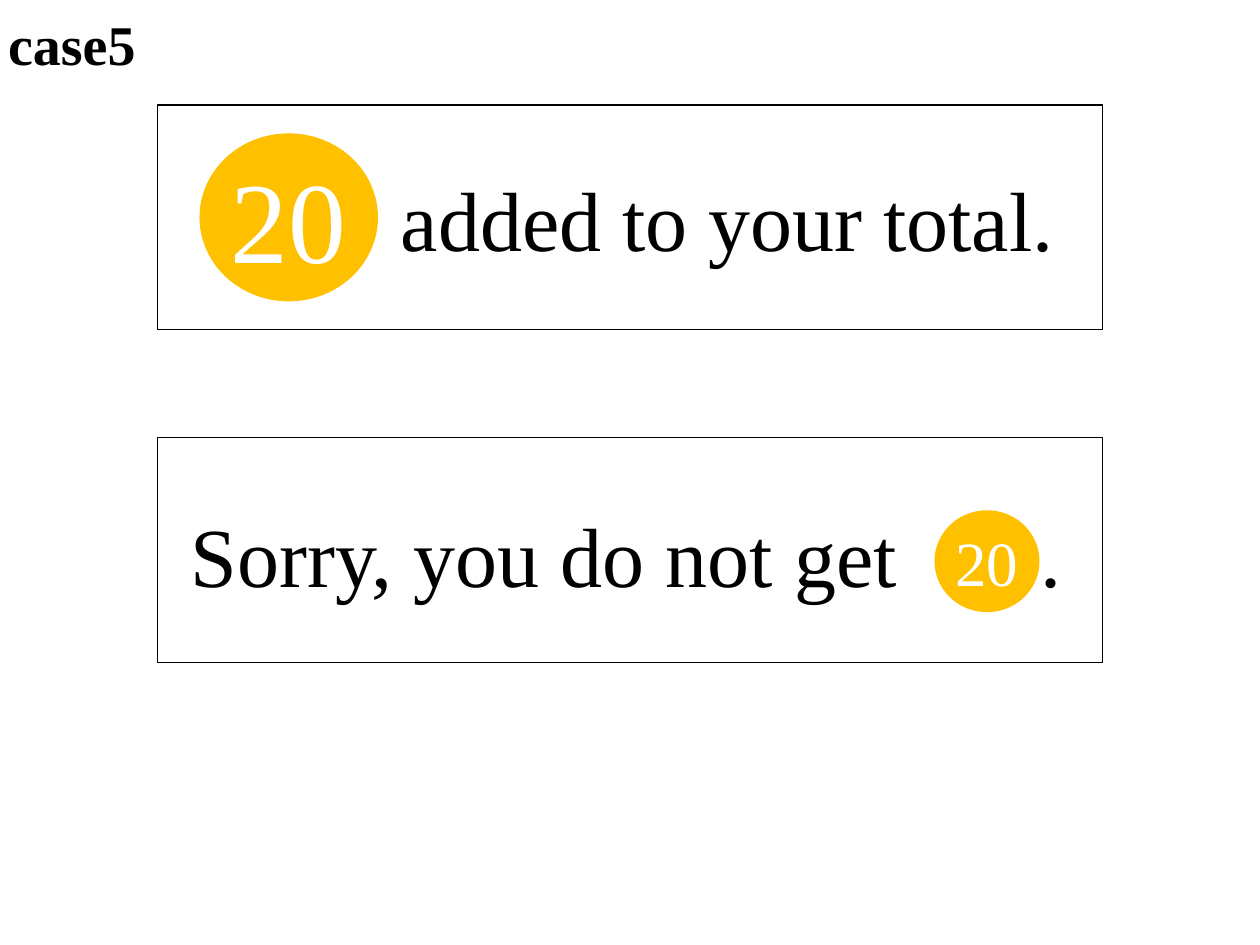
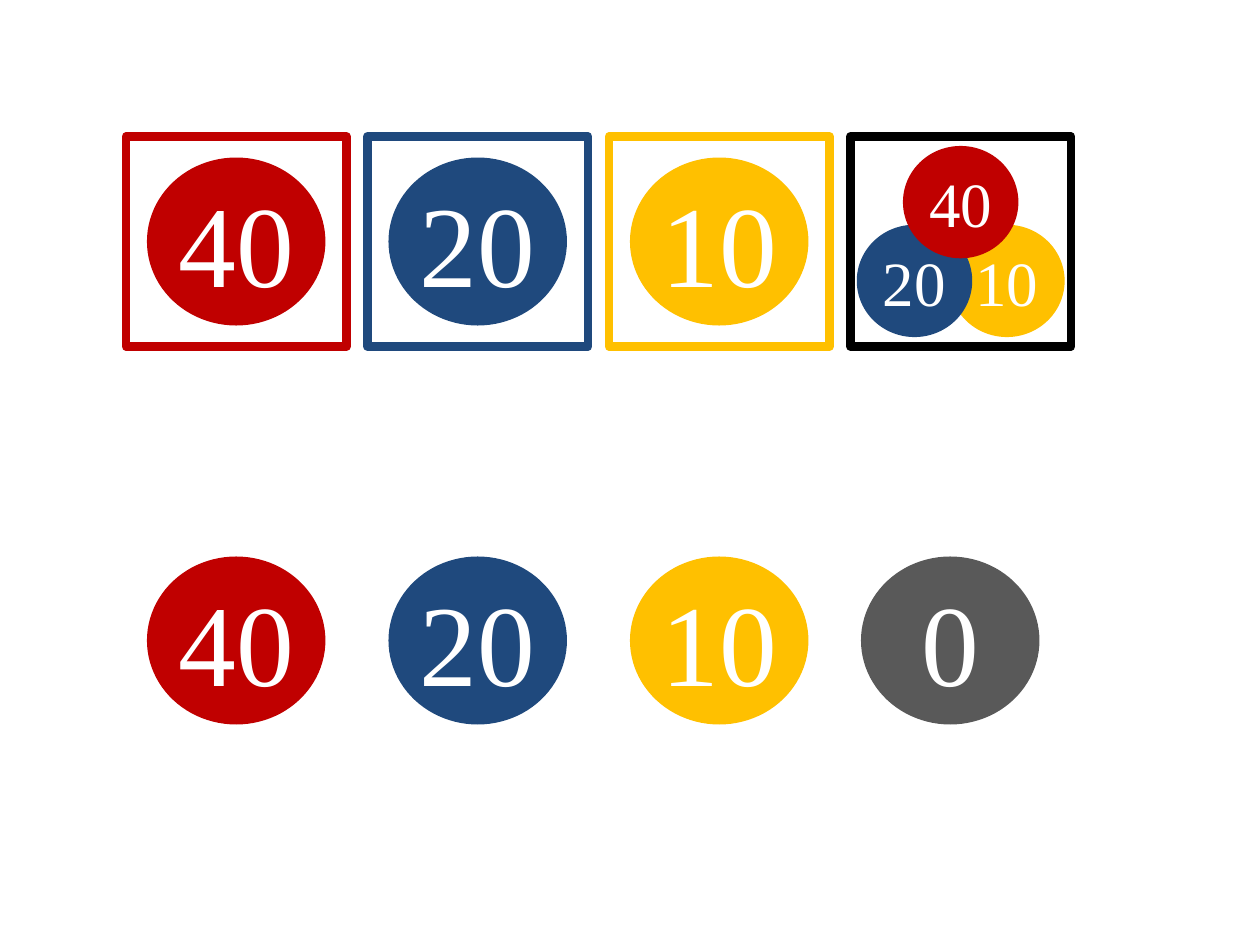
from dataclasses import dataclass

from lxml.etree import SubElement as Sub
from pptx import Presentation
from pptx.dml.color import RGBColor as Rgb
from pptx.enum.shapes import MSO_SHAPE as Kind
from pptx.enum.text import MSO_ANCHOR as Anchor, PP_ALIGN as Align
from pptx.oxml.ns import qn
from pptx.util import Inches, Pt


@dataclass(frozen=True)
class Theme:
    font: str = "Times New Roman"
    black: str = "000000"
    white: str = "FFFFFF"
    red: str = "C00000"
    blue: str = "1F497D"
    gold: str = "FFC000"
    gray: str = "595959"
    title: int = 32
    body: int = 48
    big: int = 66
    small: int = 36
    thin: float = 0.75
    thick: float = 5


T = Theme()

# Grid: 120 columns by 90 rows on a 10 by 7.5 inch slide
WIDE, HIGH = Inches(10), Inches(7.5)
COLS, ROWS = 120, 90
CARD = (90, 21.4)
FRAME = (21, 20)
COIN = (17, 16)
CHIP = (11, 10.7)
STEP = 23


def place(at, size):
    """Turn grid cells into left, top, width and height."""
    (x, y), (w, h) = at, size
    return [round(v) for v in (x * WIDE / COLS, y * HIGH / ROWS,
                               w * WIDE / COLS, h * HIGH / ROWS)]


def add_run(par, text, size, color, bold=False):
    run = par.add_run()
    run.text = text
    font = run.font
    font.name, font.size, font.bold = T.font, Pt(size), bold
    font.color.rgb = Rgb.from_string(color)


def add_text(shapes, at, size, parts, points, bold=False, tab=None):
    """Add one line of text; a tab stop (in columns) parts its runs."""
    frame = shapes.add_textbox(*place(at, size)).text_frame
    frame.word_wrap = True
    frame.vertical_anchor = Anchor.MIDDLE
    par = frame.paragraphs[0]
    par.line_spacing = 0.9
    if tab:
        stops = Sub(par._p.get_or_add_pPr(), qn("a:tabLst"))
        Sub(stops, qn("a:tab"), pos=str(round(tab * WIDE / COLS)), algn="l")
    for part in parts:
        add_run(par, part, points, T.black, bold)


def add_frame(shapes, at, size, color, width):
    box = shapes.add_shape(Kind.RECTANGLE, *place(at, size))
    box.shadow.inherit = False
    box.fill.background()
    box.line.color.rgb = Rgb.from_string(color)
    box.line.width = Pt(width)


def add_coin(shapes, at, text, color, size=COIN, points=T.big):
    coin = shapes.add_shape(Kind.OVAL, *place(at, size))
    coin.shadow.inherit = False
    coin.fill.solid()
    coin.fill.fore_color.rgb = Rgb.from_string(color)
    coin.line.fill.background()
    frame = coin.text_frame
    frame.margin_left = frame.margin_right = Inches(0.04)
    frame.margin_top = frame.margin_bottom = Inches(0.04)
    frame.word_wrap = True
    frame.vertical_anchor = Anchor.MIDDLE
    par = frame.paragraphs[0]
    par.alignment = Align.CENTER
    add_run(par, text, points, T.white)


def add_cards(slide):
    """Two message cards, each with a coin in its sentence."""
    gain = slide.shapes.add_group_shape().shapes
    add_text(gain, (37, 10.7), (72, 21.4), ["added to your total."], T.body)
    add_frame(gain, (15, 10), CARD, T.black, T.thin)
    add_coin(gain, (19, 12.7), "20", T.gold)

    loss = slide.shapes.add_group_shape().shapes
    add_text(loss, (17, 42.7), CARD, ["Sorry, you do not get", "\t", "."],
             T.body, tab=80.9)
    add_frame(loss, (15, 41.7), CARD, T.black, T.thin)
    add_coin(loss, (89, 48.6), "20", T.gold, (10, 9.7), T.small)

    add_text(slide.shapes, (-0.4, 0), (23, 9), ["case5"], T.title, bold=True)


def add_board(slide):
    """Framed choices above, the matching results below."""
    shapes = slide.shapes
    coins = [("40", T.red), ("20", T.blue), ("10", T.gold)]
    for col, (text, color) in enumerate(coins):
        x = 12 + col * STEP
        add_frame(shapes, (x, 13), FRAME, color, T.thick)
        for y in (15, 53):
            add_coin(shapes, (x + 2, y), text, color)

    # Last choice holds all three coins, gold at the back
    x = 12 + len(coins) * STEP
    add_frame(shapes, (x, 13), FRAME, T.black, T.thick)
    spots = [(x + 5, 13.9), (x + 0.6, 21.4), (x + 9.4, 21.4)]
    for at, (text, color) in reversed(list(zip(spots, coins))):
        add_coin(shapes, at, text, color, CHIP, T.small)
    add_coin(shapes, (x + 1, 53), "0", T.gray)


def main():
    deck = Presentation()
    deck.slide_width, deck.slide_height = WIDE, HIGH
    blank = deck.slide_layouts[6]
    for build in (add_cards, add_board):
        build(deck.slides.add_slide(blank))
    deck.save("out.pptx")


if __name__ == "__main__":
    main()
